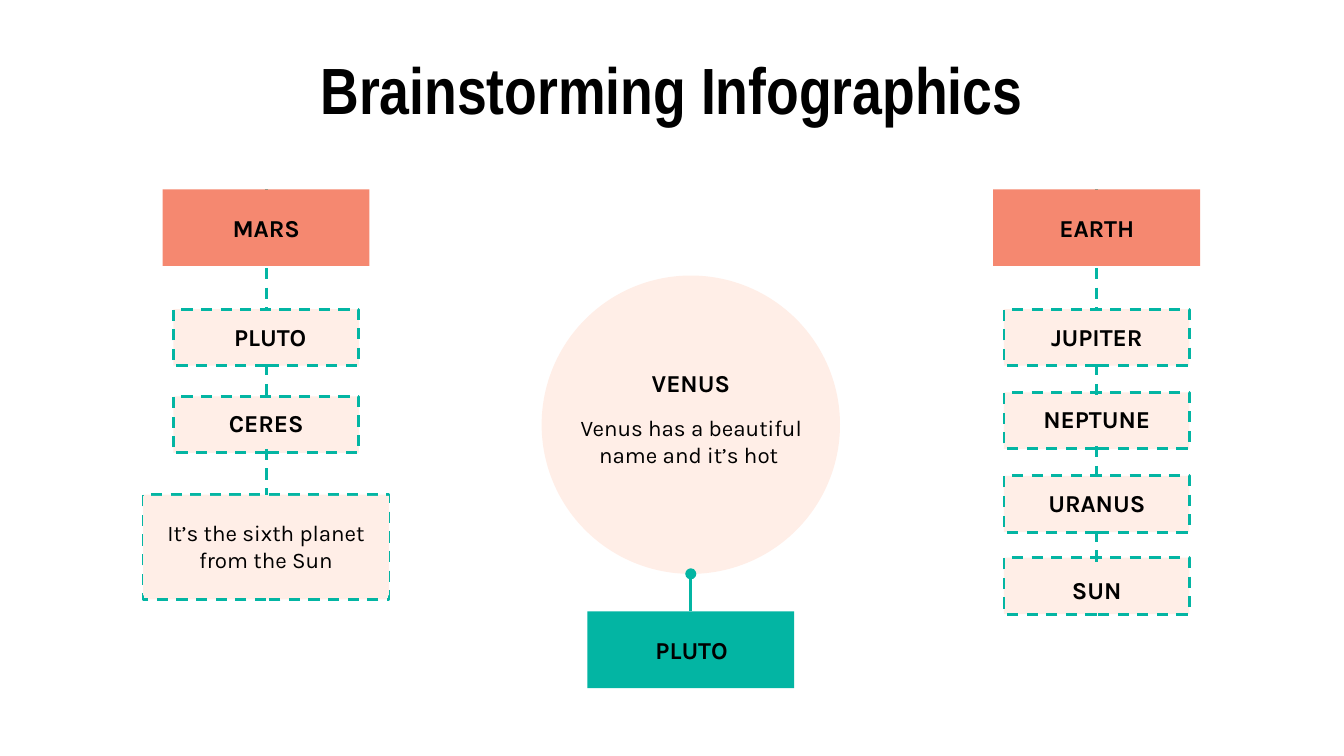
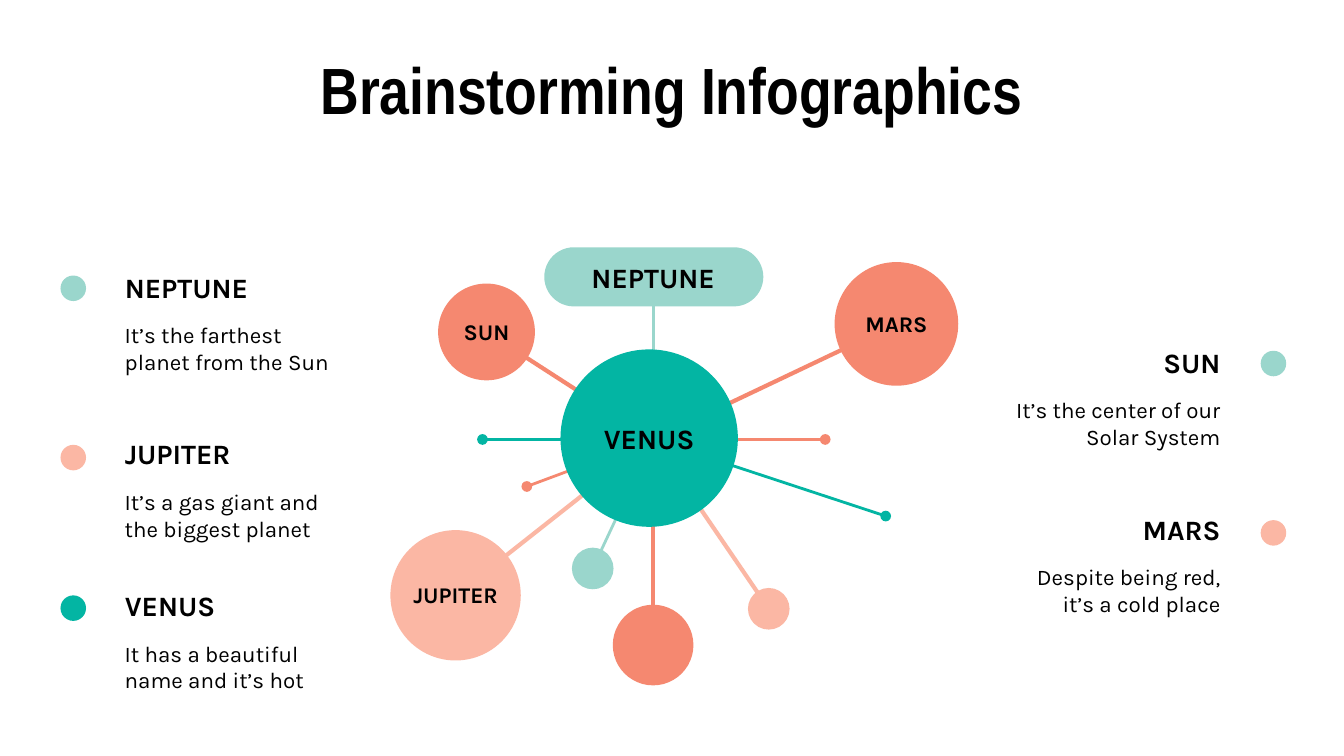
import pptx
import pptx.util
import pptx.dml.color
import pptx.enum.dml
import pptx.enum.shapes
import pptx.enum.text
from lxml import etree

Inches = pptx.util.Inches
SHAPE = pptx.enum.shapes.MSO_SHAPE
ALIGN = {
    "l": pptx.enum.text.PP_ALIGN.LEFT,
    "c": pptx.enum.text.PP_ALIGN.CENTER,
    "r": pptx.enum.text.PP_ALIGN.RIGHT,
}
COLORS = {
    "white": "FFFFFF",
    "black": "000000",
    "teal": "03B5A3",
    "mint": "9AD6CC",
    "coral": "F58870",
    "peach": "FBB7A4",
    "blush": "FFEEE7",
}
TITLE = "Brainstorming Infographics"
SLIDE_W = 10
SLIDE_H = SLIDE_W * 9 / 16

# Slide 1: columns of boxes; each box is (name, top, label top, label shift)
COLUMNS = [
    {
        "center": 8.16,
        "head": "EARTH",
        "boxes": [
            ("JUPITER", 2.3, 2.32, 0),
            ("NEPTUNE", 2.92, 2.93, 0),
            ("URANUS", 3.54, 3.56, 0),
            ("SUN", 4.15, 4.2, 0),
        ],
        "links": [(2.71, 2.95), (3.32, 3.56), (3.95, 4.19)],
        "note": None,
    },
    {
        "center": 1.98,
        "head": "MARS",
        "boxes": [("PLUTO", 2.3, 2.32, 0.03), ("CERES", 2.95, 2.96, 0)],
        "links": [(2.71, 2.95), (3.34, 3.68)],
        "note": "It’s the sixth planet from the Sun",
    },
]
HEAD_TOP, HEAD_W, HEAD_H = 1.41, 1.54, 0.57
BOX_W, BOX_H = 1.38, 0.42
LABEL_W, LABEL_H = 1.31, 0.37

# Slide 2: spokes as (x, y, diameter, colour, line width, label)
HUB = (4.86, 3.27)
SPOKES = [
    (6.59, 3.84, 0.08, "teal", 1.5, None),
    (3.59, 3.27, 0.08, "teal", 1.5, None),
    (3.62, 2.47, 0.72, "coral", 2.25, "SUN"),
    (3.39, 4.43, 0.97, "peach", 2.25, "JUPITER"),
    (3.92, 3.62, 0.08, "coral", 1.5, None),
    (6.14, 3.27, 0.08, "coral", 1.5, None),
    (4.41, 4.23, 0.31, "mint", 1.5, None),
    (5.72, 4.53, 0.31, "peach", 2.25, None),
    (4.86, 4.8, 0.6, "coral", 2.25, None),
    (6.67, 2.41, 0.92, "coral", 2.25, "MARS"),
]
# Legend as (name, text, colour, side, dot top, heading top, heading width)
LEGEND = [
    ("VENUS", "It has a beautiful name and it’s hot", "teal", "l", 4.43, 4.32, 1.68),
    ("JUPITER", "It’s a gas giant and the biggest planet", "peach", "l", 3.31, 3.19, 1.68),
    ("NEPTUNE", "It’s the farthest planet from the Sun", "mint", "l", 2.05, 1.95, 1.42),
    ("MARS", "Despite being red, it’s a cold place", "peach", "r", 3.87, 3.75, 1.68),
    ("SUN", "It’s the center of our Solar System", "mint", "r", 2.61, 2.51, 1.42),
]
DOT = 0.19
DOT_LEFT = {"l": 0.45, "r": 9.38}
TEXT_EDGE = {"l": 0.83, "r": 9.18}
NOTE_W, NOTE_H = 1.83, 0.74


def rgb(name):
    return pptx.dml.color.RGBColor.from_string(COLORS[name])


def set_line(line, color, width, dashed):
    line.color.rgb = rgb(color)
    line.width = pptx.util.Pt(width)
    if dashed:
        line.dash_style = pptx.enum.dml.MSO_LINE.DASH


def add_box(s, x, y, w, h, fill, kind=SHAPE.RECTANGLE, dashed=False):
    sp = s.shapes.add_shape(kind, Inches(x), Inches(y), Inches(w), Inches(h))
    sp.shadow.inherit = False
    sp.fill.solid()
    sp.fill.fore_color.rgb = rgb(fill)
    if dashed:
        set_line(sp.line, "teal", 1.5, True)
    else:
        sp.line.fill.background()
    return sp


def add_disc(s, cx, cy, d, fill):
    return add_box(s, cx - d / 2, cy - d / 2, d, d, fill, SHAPE.OVAL)


def add_line(s, start, end, color="teal", width=1.5, dashed=False, tail=None):
    points = [Inches(v) for v in (*start, *end)]
    cn = s.shapes.add_connector(pptx.enum.shapes.MSO_CONNECTOR.STRAIGHT, *points)
    set_line(cn.line, color, width, dashed)
    ns = pptx.oxml.ns.qn
    if tail:
        etree.SubElement(cn.line._get_or_add_ln(), ns("a:tailEnd"), type=tail)
    etree.SubElement(cn._element.spPr, ns("a:effectLst"))


def write(sp, text, size=13, bold=True, font="Karla", align="c"):
    tf = sp.text_frame
    tf.word_wrap = True
    tf.vertical_anchor = pptx.enum.text.MSO_ANCHOR.MIDDLE
    tf.margin_left = tf.margin_right = tf.margin_top = tf.margin_bottom = Inches(0.1)
    p = tf.paragraphs[0]
    p.alignment = ALIGN[align]
    r = p.add_run()
    r.text = text
    r.font.name = font
    r.font.size = pptx.util.Pt(size)
    r.font.bold = bold
    r.font.color.rgb = rgb("black")


def add_text(s, x, y, w, h, text, **fmt):
    write(s.shapes.add_textbox(Inches(x), Inches(y), Inches(w), Inches(h)), text, **fmt)


def new_slide(prs):
    s = prs.slides.add_slide(prs.slide_layouts[6])
    s.background.fill.solid()
    s.background.fill.fore_color.rgb = rgb("white")
    add_text(s, 0.34, 0.37, 9.32, 0.58, TITLE, size=35, font="Arial Narrow")
    return s


def add_column(s, col):
    cx = col["center"]
    label_x = cx - LABEL_W / 2
    # Heading on its dashed stem
    add_line(s, (cx, HEAD_TOP), (cx, 2.3), dashed=True)
    add_box(s, cx - HEAD_W / 2, HEAD_TOP, HEAD_W, HEAD_H, "coral")
    add_text(s, label_x, 1.51, LABEL_W, LABEL_H, col["head"])
    # Boxes, then the links between them
    for _, top, _, _ in col["boxes"]:
        add_box(s, cx - BOX_W / 2, top, BOX_W, BOX_H, "blush", dashed=True)
    if col["note"]:
        add_box(s, cx - NOTE_W / 2, 3.68, NOTE_W, 0.78, "blush", dashed=True)
    for start, end in col["links"]:
        add_line(s, (cx, start), (cx, end), dashed=True)
    for name, _, top, shift in col["boxes"]:
        add_text(s, label_x + shift, top, LABEL_W, LABEL_H, name)
    if col["note"]:
        panel = add_box(s, cx - NOTE_W / 2, 3.69, NOTE_W, NOTE_H, "blush")
        write(panel, col["note"], size=12, bold=False)


def build_tree(prs):
    s = new_slide(prs)
    for col in COLUMNS:
        add_column(s, col)
    # Central circle and the box below it
    cx = 5.14
    add_disc(s, cx, 3.16, 2.22, "blush")
    add_box(s, cx - HEAD_W / 2, 4.55, HEAD_W, HEAD_H, "teal")
    add_line(s, (cx, 4.55), (cx, 4.27), tail="oval")
    add_text(s, 4.08, 2.91, 2.13, NOTE_H, "Venus has a beautiful name and it’s hot ",
             size=12, bold=False)
    add_text(s, 4.3, 2.66, 1.68, LABEL_H, "VENUS")
    add_text(s, 4.49, 4.65, LABEL_W, LABEL_H, "PLUTO")


def build_hub(prs):
    s = new_slide(prs)
    # Spokes with their discs
    for x, y, d, color, width, label in SPOKES:
        add_line(s, HUB, (x, y), color, width)
        add_disc(s, x, y, d, color)
        if label:
            add_text(s, x - 0.46, y - 0.16, 0.92, 0.31, label, size=12)
    # Pill above the hub
    add_line(s, HUB, (HUB[0], 2.28), "mint")
    pill = add_box(s, 4.05, 1.84, 1.63, 0.44, "mint", SHAPE.ROUNDED_RECTANGLE)
    pill.adjustments[0] = 0.5
    add_text(s, 4.2, 1.89, 1.32, 0.34, "NEPTUNE", size=15)
    # Hub
    add_disc(s, 4.83, 3.26, 1.32, "teal")
    add_text(s, 4.17, 3.09, 1.32, 0.34, "VENUS", size=15)
    # Legend on both sides
    for name, text, color, side, dot_top, top, width in LEGEND:
        add_box(s, DOT_LEFT[side], dot_top, DOT, DOT, color, SHAPE.OVAL)
        edge = TEXT_EDGE[side]
        name_x, text_x = (edge, edge) if side == "l" else (edge - width, edge - NOTE_W)
        add_text(s, text_x, top + 0.27, NOTE_W, NOTE_H, text, size=12, bold=False, align=side)
        add_text(s, name_x, top, width, LABEL_H, name, size=15, align=side)


def main():
    prs = pptx.Presentation()
    prs.slide_width, prs.slide_height = Inches(SLIDE_W), Inches(SLIDE_H)
    build_tree(prs)
    build_hub(prs)
    prs.save("out.pptx")


if __name__ == "__main__":
    main()
